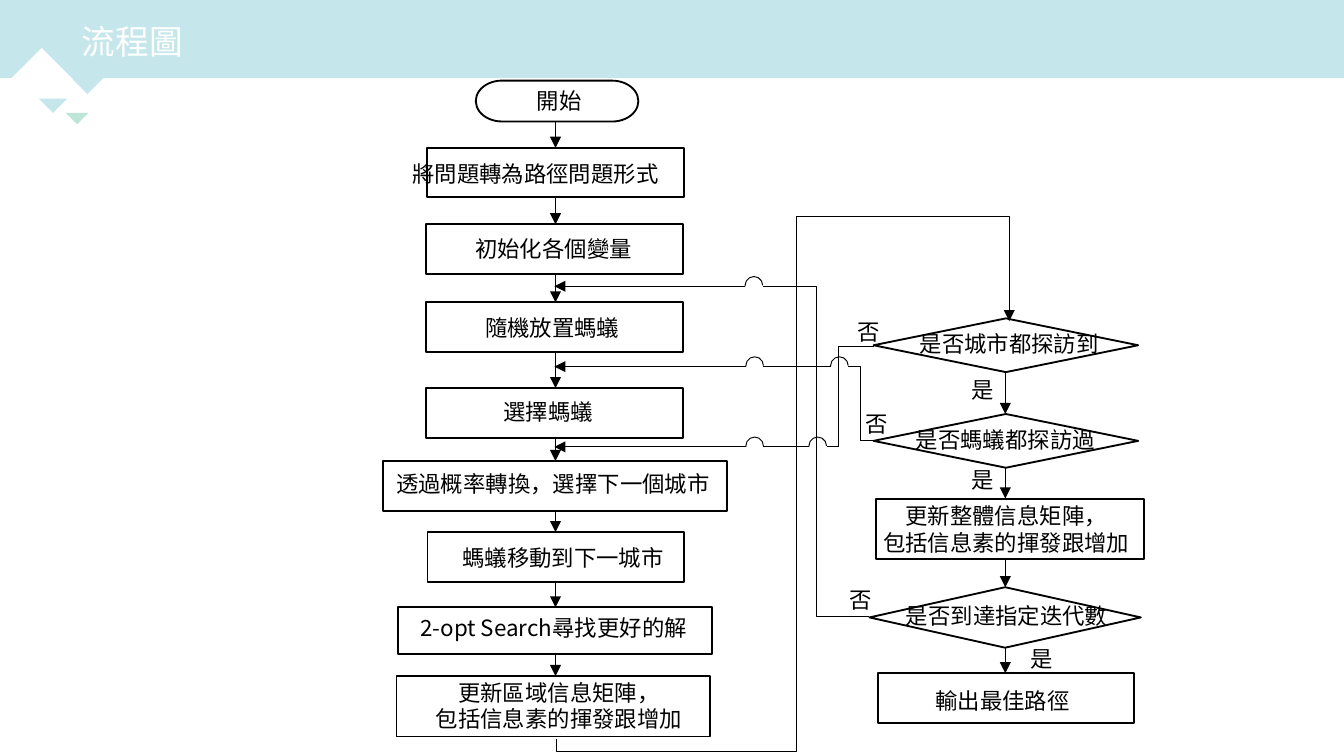
from dataclasses import dataclass
from itertools import pairwise

from lxml import etree
from pptx import Presentation
from pptx.dml.color import RGBColor
from pptx.enum.shapes import MSO_CONNECTOR, MSO_SHAPE
from pptx.enum.text import PP_ALIGN
from pptx.oxml.ns import qn
from pptx.util import Pt

RECT, ARC = MSO_SHAPE.RECTANGLE, MSO_SHAPE.ARC
TERMINATOR = MSO_SHAPE.FLOWCHART_TERMINATOR
DECISION = MSO_SHAPE.FLOWCHART_DECISION
STRAIGHT, ELBOW = MSO_CONNECTOR.STRAIGHT, MSO_CONNECTOR.ELBOW
LEFT, CENTER = PP_ALIGN.LEFT, PP_ALIGN.CENTER


@dataclass(frozen=True)
class Theme:
    aqua: RGBColor = RGBColor.from_string("C5E7EB")
    mint: RGBColor = RGBColor.from_string("BDE5D8")
    white: RGBColor = RGBColor.from_string("FFFFFF")
    ink: RGBColor = RGBColor.from_string("000000")
    font: str = "Noto Sans CJK SC"
    title_size: float = 18
    body_size: float = 12
    leading: float = 1.2
    outline: float = 1
    arrow: float = 0.5


THEME = Theme()


@dataclass(frozen=True)
class Step:
    kind: int
    box: tuple
    text: str
    text_x: float
    text_drop: float


def paint(shape, fill=None, line=None, width=THEME.outline):
    shape.shadow.inherit = False
    if fill is None:
        shape.fill.background()
    else:
        shape.fill.solid()
        shape.fill.fore_color.rgb = fill
    if line is None:
        shape.line.fill.background()
    else:
        shape.line.color.rgb = line
        shape.line.width = Pt(width)


def add_label(page, box, text, align=CENTER, size=THEME.body_size, color=THEME.ink):
    frame = page.shapes.add_textbox(*map(Pt, box)).text_frame
    frame.word_wrap = True
    frame.margin_left = frame.margin_right = frame.margin_top = frame.margin_bottom = 0
    for index, line in enumerate(text.split("\n")):
        para = frame.add_paragraph() if index else frame.paragraphs[0]
        para.text = line
        para.alignment = align
        para.line_spacing = Pt(size * THEME.leading)
        para.font.size = Pt(size)
        para.font.name = THEME.font
        para.font.color.rgb = color
        defaults = para._p.pPr.find(qn("a:defRPr"))
        etree.SubElement(defaults, qn("a:ea"), typeface=THEME.font)


def add_line(page, start, end, kind=STRAIGHT, arrow=False, bends=()):
    line = page.shapes.add_connector(kind, *map(Pt, (*start, *end)))
    line.line.color.rgb = THEME.ink
    line.line.width = Pt(THEME.arrow)
    properties = line._element.spPr
    if arrow:
        etree.SubElement(properties.find(qn("a:ln")), qn("a:tailEnd"), type="triangle")
    etree.SubElement(properties, qn("a:effectLst"))
    guides = properties.find(qn("a:prstGeom")).find(qn("a:avLst"))
    for number, bend in enumerate(bends, 1):
        etree.SubElement(guides, qn("a:gd"), name=f"adj{number}",
                         fmla=f"val {round(bend * 100000)}")
    return line


def add_triangle(page, apex, half, color, direction):
    x, y = apex
    base = y + half * direction
    builder = page.shapes.build_freeform(Pt(x - half), Pt(base), 1.0)
    builder.add_line_segments([(Pt(x + half), Pt(base)), (Pt(x), Pt(y))], close=True)
    paint(builder.convert_to_shape(), color)


def draw_header(page, box):
    left, top, _, height = box
    paint(page.shapes.add_shape(RECT, *map(Pt, box)), THEME.aqua)
    for x, y, half, color, direction in (
        (46.8, 50.4, 12.2, THEME.aqua, -1),
        (41.4, 66.6, 6.1, THEME.mint, -1),
        (22.3, 25.7, 16.6, THEME.white, 1),
        (28.4, 60.5, 7.6, THEME.aqua, -1),
    ):
        add_triangle(page, (left + x, top + y), half, color, direction)
    add_label(page, (left + 43.9, top + 11, 300, height - 16), "流程圖", LEFT,
              THEME.title_size, THEME.white)


def draw_column(page, origin, axis, steps):
    left, top = origin
    for step in steps:
        x, y, width, height = step.box
        shape = page.shapes.add_shape(step.kind, *map(Pt, (left + x, top + y, width, height)))
        paint(shape, line=THEME.ink)
        add_label(page, (left + step.text_x - 100, top + y + step.text_drop, 200, 16), step.text)
    for upper, lower in pairwise(steps):
        add_line(page, (left + axis, top + upper.box[1] + upper.box[3]),
                 (left + axis, top + lower.box[1]), arrow=True)


def draw_answers(page, origin, answers):
    left, top = origin
    for text, x, y in answers:
        add_label(page, (left + x, top + y, 16, 16), text, LEFT)


def draw_return(page, source, target, hops, bend):
    size = 9.4
    row = target[1]
    x = target[0]
    for hop in hops:
        add_line(page, (hop, row), (x, row), arrow=x == target[0])
        arc = page.shapes.add_shape(ARC, *map(Pt, (hop, row - 5.2, size, size)))
        arc.adjustments[0], arc.adjustments[1] = 103.69, 0
        paint(arc, line=THEME.ink, width=THEME.arrow)
        x = hop + size
    add_line(page, source, (x, row), ELBOW, bends=(bend,))


def draw_forward(page, start, end, bends):
    middle_x, middle_y = (start[0] + end[0]) / 2, (start[1] + end[1]) / 2
    half_x, half_y = (end[0] - start[0]) / 2, (start[1] - end[1]) / 2
    line = add_line(page, (middle_x + half_y, middle_y + half_x),
                    (middle_x - half_y, middle_y - half_x), ELBOW, True, bends)
    properties = line._element.spPr
    properties.find(qn("a:xfrm")).set("rot", "5400000")
    properties.find(qn("a:prstGeom")).set("prst", "bentConnector5")


SEARCH_STEPS = (
    Step(TERMINATOR, (49.7, 0, 87.1, 21.9), "開始", 94.3, 3.6),
    Step(RECT, (23.7, 36, 137.5, 26.6), "將問題轉為路徑問題形式", 81.7, 6.5),
    Step(RECT, (23, 77, 137.5, 26.6), "初始化各個變量", 91.4, 5.8),
    Step(RECT, (23, 118.8, 137.5, 26.6), "隨機放置螞蟻", 90.7, 6.5),
    Step(RECT, (23, 164.8, 137.5, 26.6), "選擇螞蟻", 88.6, 5.1),
    Step(RECT, (0, 203.8, 184.3, 26.6), "透過概率轉換，選擇下一個城市", 91.1, 5),
    Step(RECT, (23.8, 241.9, 137.5, 26.6), "螞蟻移動到下一城市", 96.5, 6.5),
    Step(RECT, (7.9, 282.2, 168.5, 25.2), "2-opt Search尋找更好的解", 91.4, 3.6),
    Step(RECT, (7.2, 319, 167.8, 32.4), "更新區域信息矩陣，\n包括信息素的揮發跟增加", 94.3, 1.4),
)
CHECK_STEPS = (
    Step(DECISION, (2.2, 0, 141.8, 28.8), "是否城市都探訪到", 74.9, 6.5),
    Step(DECISION, (2.2, 51.2, 141.8, 28.8), "是否螞蟻都探訪過", 72.8, 6.5),
    Step(RECT, (3.6, 96.5, 143.3, 32.4), "更新整體信息矩陣，\n包括信息素的揮發跟增加", 73.3, 2.2),
    Step(DECISION, (0, 144, 145.4, 32.4), "是否到達指定迭代數", 73.5, 8),
    Step(RECT, (4.4, 190.1, 137.5, 26.6), "輸出最佳路徑", 71.3, 7.2),
)
ANSWERS = (
    ("否", -6.4, 0), ("是", 54.8, 31), ("否", -2.1, 49),
    ("是", 54.8, 79.2), ("否", -10.8, 143.3), ("是", 86.4, 175),
)
RETURNS = (
    ((465.8, 330.5), (297, 153.4), (399.2,), 0.5),
    ((468, 236.2), (297, 196.4), (399.6, 445), 0.5),
    ((468, 185.8), (297, 239.4), (399.6, 433.4), 0.74),
)


def main():
    deck = Presentation()
    deck.slide_width, deck.slide_height = Pt(720), Pt(405)
    page = deck.slides.add_slide(deck.slide_layouts[6])
    draw_header(page, (0, 0, 720, 41.7))
    draw_column(page, (205.2, 43.2), 92.4, SEARCH_STEPS)
    draw_column(page, (465.8, 170.6), 72.8, CHECK_STEPS)
    draw_answers(page, (465.8, 170.6), ANSWERS)
    for source, target, hops, bend in RETURNS:
        draw_return(page, source, target, hops, bend)
    draw_forward(page, (298, 396), (540.7, 172.1), (-0.03, 0.53, 1.25))
    deck.save("out.pptx")


if __name__ == "__main__":
    main()
